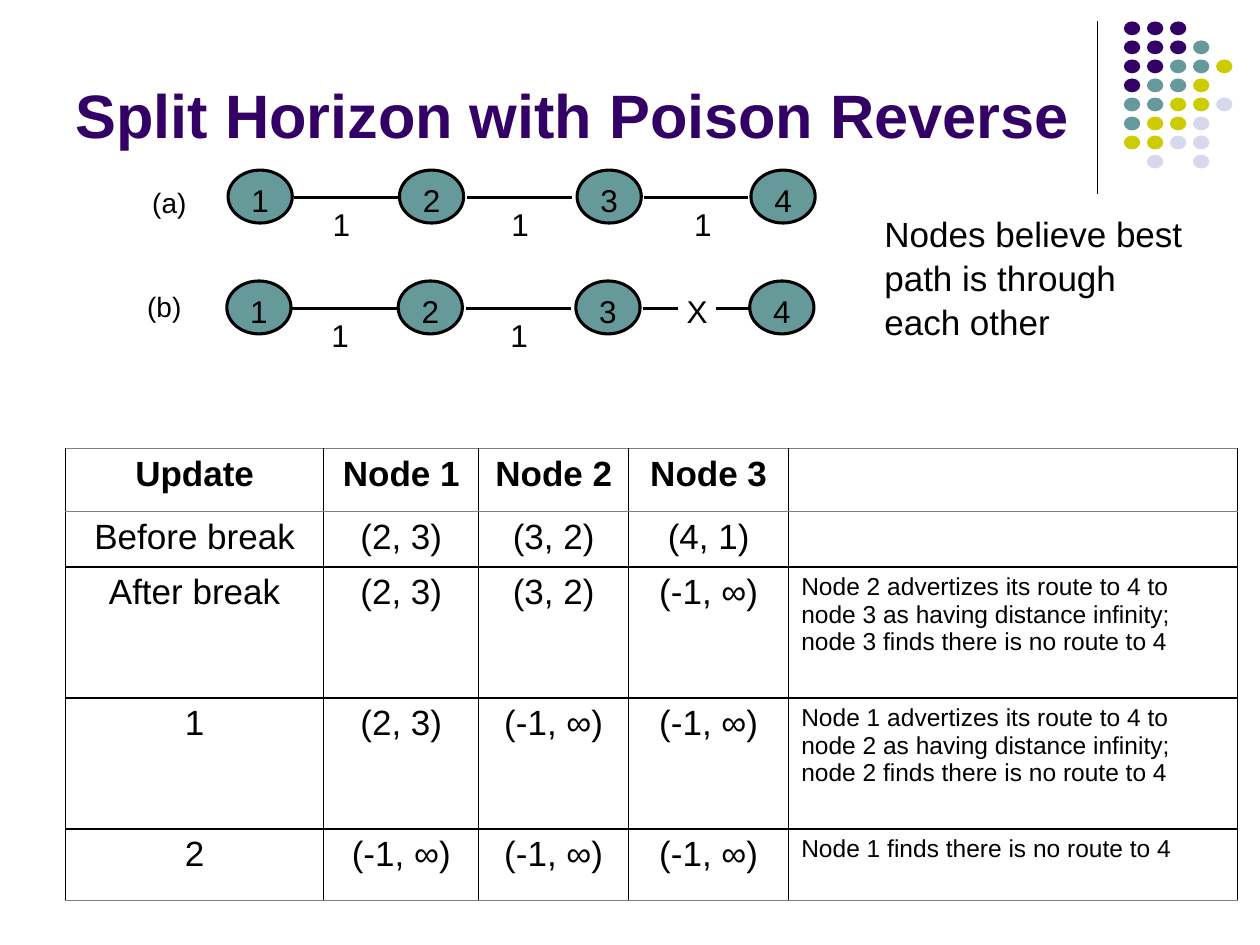
import pptx
import pptx.util
import pptx.dml.color
import pptx.enum.shapes
import pptx.enum.text
import pptx.oxml.ns
from lxml import etree

COLORS = {"ink": "000000", "violet": "330066", "teal": "669999",
          "lime": "CCCC00", "mist": "D8D8EC", "gray": "808080"}
ALIGN = pptx.enum.text.PP_ALIGN
ANCHOR = pptx.enum.text.MSO_ANCHOR


def rgb(name):
    return pptx.dml.color.RGBColor.from_string(COLORS[name])


class SlideBuilder:
    """Places elements on a grid of 100 columns by 75 rows."""
    font = "Arial"
    columns, rows = 100, 75

    def __init__(self, deck):
        self.deck = deck
        self.slide = deck.slides.add_slide(deck.slide_layouts[5])

    def x(self, columns):
        return round(self.deck.slide_width * columns / self.columns)

    def y(self, rows):
        return round(self.deck.slide_height * rows / self.rows)

    def place(self, left, top, width, height):
        return self.x(left), self.y(top), self.x(width), self.y(height)

    def set_text(self, frame, text, size, color="ink", bold=False, align=ALIGN.LEFT):
        para = frame.paragraphs[0]
        para.text = text
        para.alignment = align
        para.font.name, para.font.size = self.font, pptx.util.Pt(size)
        para.font.bold, para.font.color.rgb = bold, rgb(color)
        return para

    def title(self, text, *area):
        box = self.slide.shapes.title
        box.left, box.top, box.width, box.height = self.place(*area)
        box.text_frame.vertical_anchor = ANCHOR.BOTTOM
        self.set_text(box.text_frame, text, 35, "violet", bold=True)

    def text(self, text, size, *area, inset=True):
        frame = self.slide.shapes.add_textbox(*self.place(*area)).text_frame
        frame.word_wrap = inset
        if not inset:
            frame.margin_left = frame.margin_right = 0
            frame.margin_top = frame.margin_bottom = 0
        return self.set_text(frame, text, size)

    def ellipse(self, fill, *area, outline=None):
        shape = self.slide.shapes.add_shape(
            pptx.enum.shapes.MSO_SHAPE.OVAL, *self.place(*area))
        shape.shadow.inherit = False
        shape.fill.solid()
        shape.fill.fore_color.rgb = rgb(fill)
        if outline:
            shape.line.color.rgb, shape.line.width = rgb("ink"), pptx.util.Pt(outline)
        else:
            shape.line.fill.background()
        return shape

    def node(self, label, left, top):
        shape = self.ellipse("teal", left, top, 5.1, 4.2, outline=1.75)
        frame = shape.text_frame
        frame.word_wrap = False
        frame.margin_left = frame.margin_right = frame.margin_bottom = 0
        frame.margin_top = self.y(0.6)
        frame.vertical_anchor = ANCHOR.MIDDLE
        self.set_text(frame, label, 18, align=ALIGN.CENTER)

    def line(self, x1, y1, x2, y2, width):
        link = self.slide.shapes.add_connector(
            pptx.enum.shapes.MSO_CONNECTOR.STRAIGHT,
            self.x(x1), self.y(y1), self.x(x2), self.y(y2))
        link.line.color.rgb, link.line.width = rgb("ink"), pptx.util.Pt(width)
        etree.SubElement(link._element.spPr, pptx.oxml.ns.qn("a:effectLst"))

    def border(self, cell, side, color, width):
        edge = etree.SubElement(cell._tc.get_or_add_tcPr(),
                                pptx.oxml.ns.qn(f"a:ln{side}"),
                                w=str(pptx.util.Pt(width)))
        fill = etree.SubElement(edge, pptx.oxml.ns.qn("a:solidFill"))
        etree.SubElement(fill, pptx.oxml.ns.qn("a:srgbClr"), val=COLORS[color])

    def table(self, left, top, widths, heights, records, rules):
        """rules holds the horizontal rules from top to bottom."""
        area = self.place(left, top, sum(widths), sum(heights))
        table = self.slide.shapes.add_table(len(heights), len(widths), *area).table
        table.first_row = table.horz_banding = False
        for column, width in zip(table.columns, widths):
            column.width = self.x(width)
        for r, (record, height) in enumerate(zip(records, heights)):
            table.rows[r].height = self.y(height)
            for c, text in enumerate(record):
                cell = table.cell(r, c)
                for side, rule in zip("LRTB", (("ink", 0.75), ("ink", 0.75),
                                               rules[r], rules[r + 1])):
                    self.border(cell, side, *rule)
                cell.fill.background()
                note = c == len(widths) - 1
                if text:
                    self.set_text(cell.text_frame, text, 14 if note else 20,
                                  bold=r == 0,
                                  align=ALIGN.LEFT if note else ALIGN.CENTER)


def corner_dots(page):
    shades = {"V": "violet", "T": "teal", "L": "lime", "M": "mist"}
    pattern = ["VVV", "VVVT", "VVTTL", "VTTL", "TTLLM", "TLLM", "LLMM", ".M.M"]
    page.line(87.1, 1.7, 87.1, 15.4, 0.75)
    for r, dots in enumerate(pattern):
        for c, dot in enumerate(dots):
            if dot in shades:
                page.ellipse(shades[dot], 89.2 + 1.83 * c, 1.7 + 1.51 * r, 1.3, 1.1)


def network(page, name, name_area, shift, top, links, costs):
    """A row of four nodes with links and their costs."""
    for label, left in zip("1234", (18.1, 31.7, 45.8, 59.6)):
        page.node(label, left + shift, top)
    for start, end in links:
        page.line(start + shift, top + 2.2, end + shift, top + 2.2, 1.75)
    for left in costs:
        page.text("1", 18, left + shift, top + 2.8, 1.4, 3, inset=False)
    page.text(name, 16, *name_area)


def main():
    deck = pptx.Presentation()
    deck.slide_width, deck.slide_height = pptx.util.Inches(10), pptx.util.Inches(7.5)
    page = SlideBuilder(deck)

    # Decoration and title
    corner_dots(page)
    page.title("Split Horizon with Poison Reverse", 5, 1.3, 82.5, 11.2)

    # Networks before and after the break
    links = [(23.3, 31.6), (37.1, 45.4)]
    costs = [26.4, 40.6]
    network(page, "(a)", (11.1, 14.2, 5.2, 3.7), 0, 13.5,
            links + [(51.1, 59.4)], costs + [55.1])
    network(page, "(b)", (10.7, 22.5, 5.2, 3.7), -0.1, 22.3,
            links + [(51.1, 53.9), (56.9, 59.6)], costs)
    page.text("X", 18, 54.5, 23.2, 1.7, 3, inset=False)

    # Remark
    remark = page.text("Nodes believe best path is through each other",
                       20, 69.2, 16.2, 27.1, 11)
    remark.line_spacing = 1.05

    # Routing updates
    lost = "(-1, ∞)"
    advert = ("Node {0} advertizes its route to 4 to node {1} as having distance "
              "infinity; node {1} finds there is no route to 4")
    records = [
        ("Update", "Node 1", "Node 2", "Node 3", ""),
        ("Before break", "(2, 3)", "(3, 2)", "(4, 1)", ""),
        ("After break", "(2, 3)", "(3, 2)", lost, advert.format(2, 3)),
        ("1", "(2, 3)", lost, lost, advert.format(1, 2)),
        ("2", lost, lost, lost, "Node 1 finds there is no route to 4"),
    ]
    rules = [("gray", 0.96), ("gray", 0.45)] + [("ink", 0.75)] * 3 + [("gray", 0.96)]
    page.table(5.2, 35.6, (20.5, 12.3, 11.9, 12.7, 35.6),
               (5, 4.4, 10.4, 10.4, 5.7), records, rules)
    deck.save("out.pptx")


if __name__ == "__main__":
    main()
